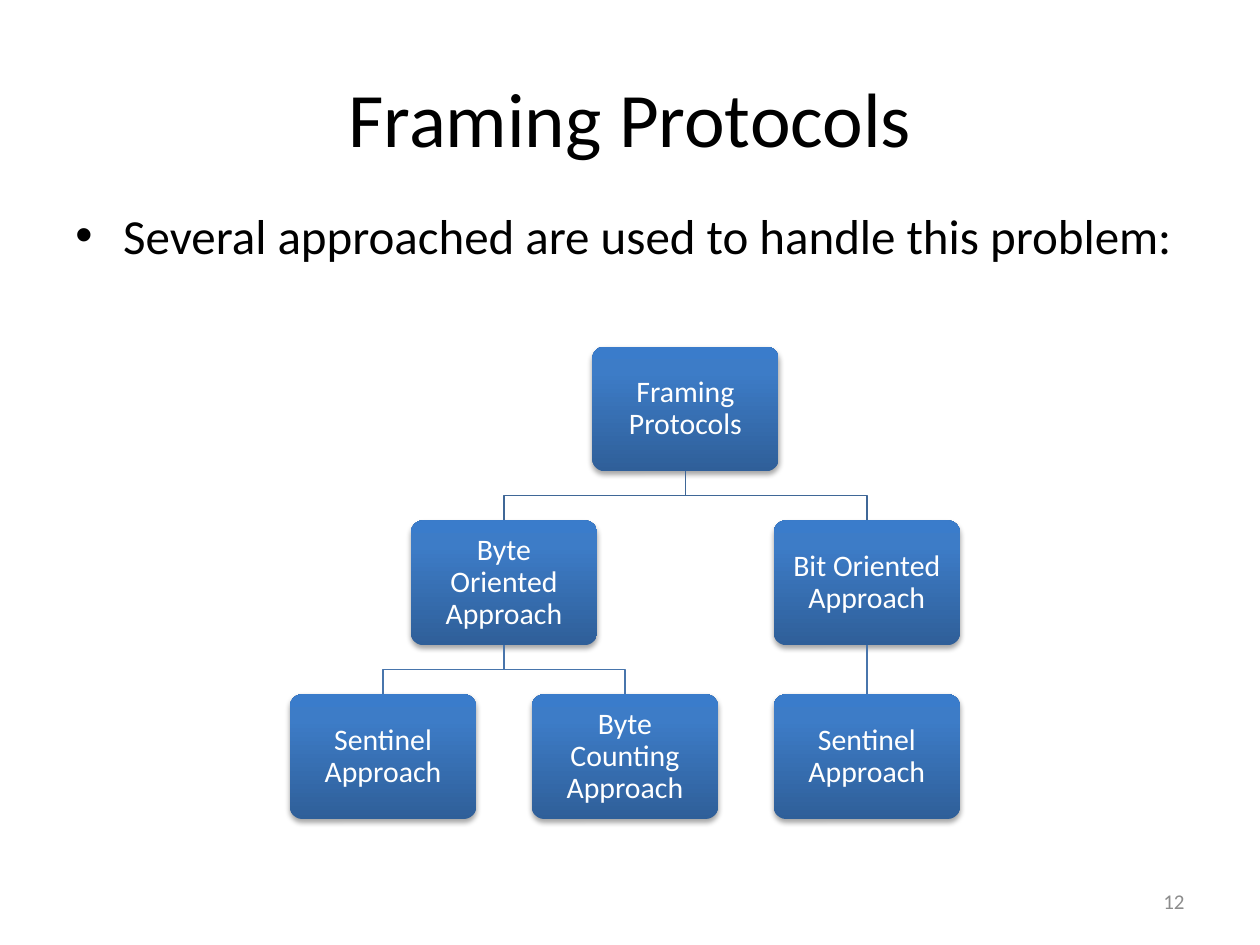
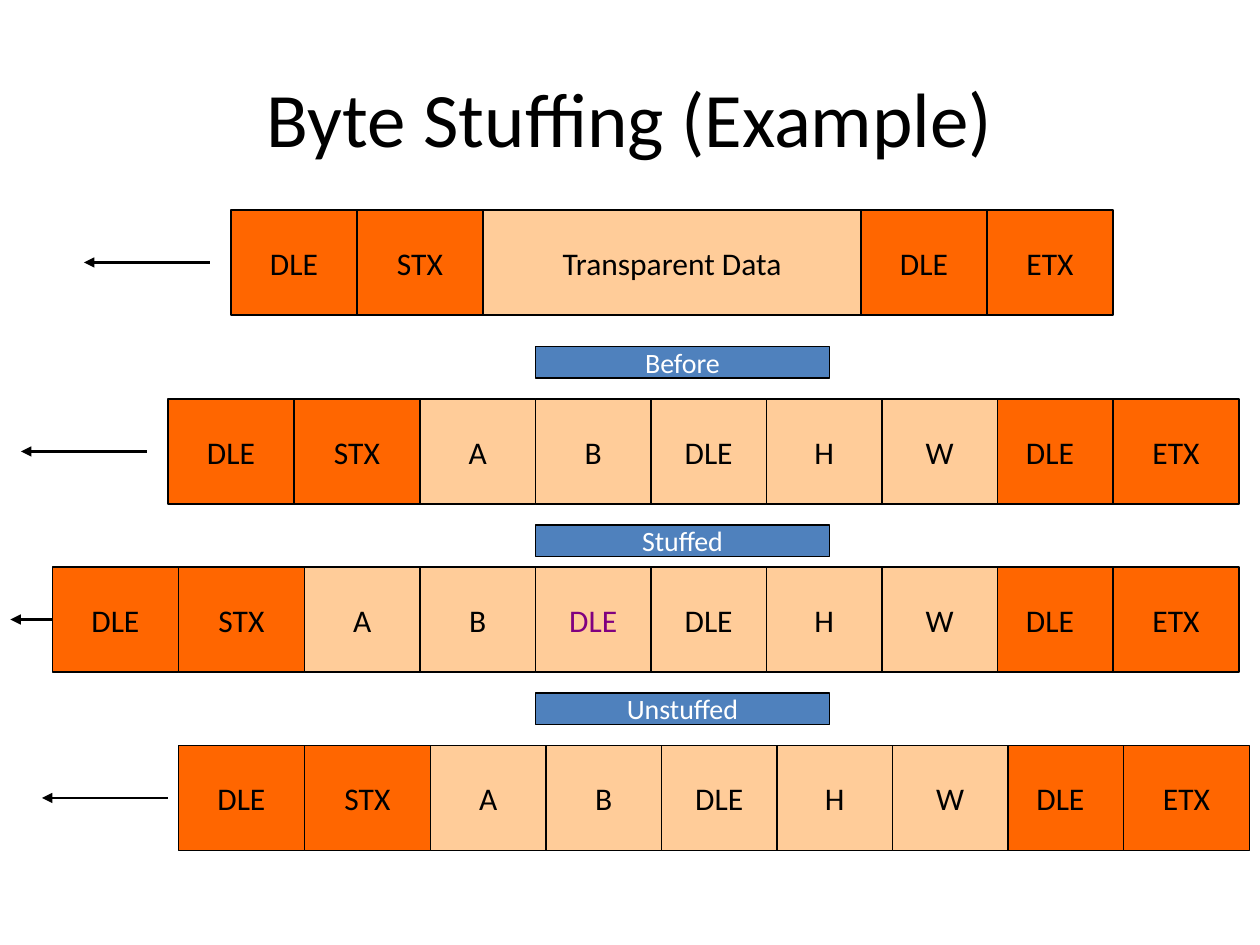
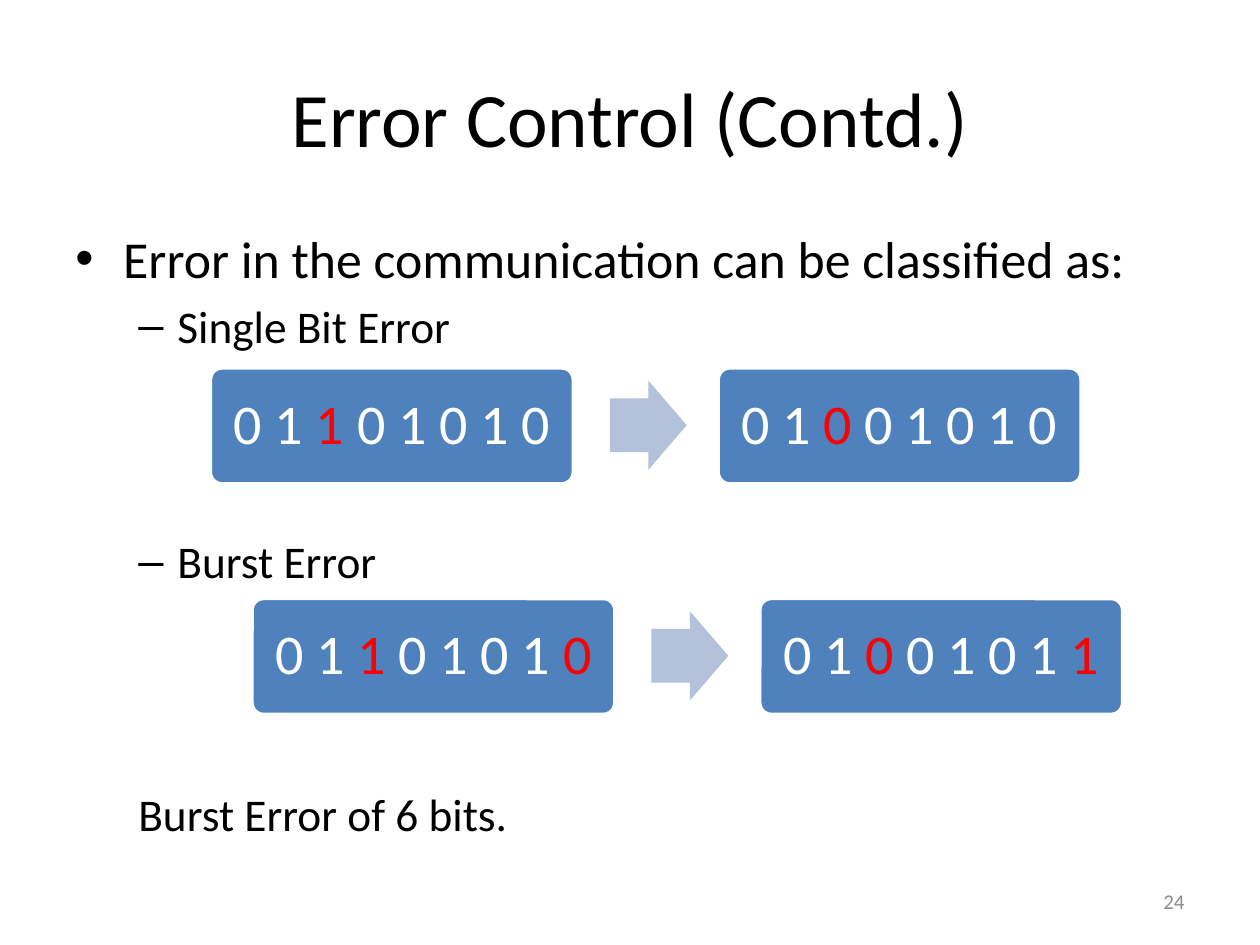
from copy import deepcopy
from itertools import groupby

from lxml import etree
from pptx import Presentation
from pptx.dml.color import RGBColor
from pptx.enum.shapes import MSO_CONNECTOR, MSO_SHAPE
from pptx.enum.text import MSO_ANCHOR, PP_ALIGN
from pptx.oxml.ns import qn
from pptx.util import Inches, Pt

RECTANGLE = MSO_SHAPE.RECTANGLE
ROUNDED = MSO_SHAPE.ROUNDED_RECTANGLE
RIGHT_ARROW = MSO_SHAPE.RIGHT_ARROW
STRAIGHT = MSO_CONNECTOR.STRAIGHT
TOP, MIDDLE = MSO_ANCHOR.TOP, MSO_ANCHOR.MIDDLE
LEFT, CENTER, RIGHT = PP_ALIGN.LEFT, PP_ALIGN.CENTER, PP_ALIGN.RIGHT
JUSTIFY = PP_ALIGN.JUSTIFY
SIDE_TOP, SIDE_LEFT, SIDE_BOTTOM = 0, 1, 2

# Shared style
FONT = "Calibri"
BLACK, WHITE, GRAY, RED, PURPLE = "000000", "FFFFFF", "8C8C8C", "FF0000", "800080"
BLUE, PALE_BLUE = "4F81BD", "B3C1DB"
ORANGE, PEACH = "FF6600", "FFCC99"
UPPER_BRANCH, LOWER_BRANCH = "3F6797", "4875AC"
NODE_GRADIENT = [(0, "2F5F99"), (0.8, "3D7CC7"), (1, "3A7CCB")]
TITLE_BOX = (0.5, 0.3, 9, 1.25)
NUMBER_BOX = (7.17, 6.95, 2.33, 0.4)


def color(value):
    return RGBColor.from_string(value)


def apply(target, values):
    for name, value in values.items():
        setattr(target, name, value)


def inches(values):
    return [Inches(value) for value in values]


def add_xml(parent, tag, **attributes):
    return etree.SubElement(parent, qn(tag), attributes)


class Deck:
    """Holds the shared style and the slide being built."""

    def __init__(self):
        self.presentation = Presentation()
        apply(self.presentation, {"slide_width": Inches(10), "slide_height": Inches(7.5)})
        self.slide = None

    def add_slide(self, title, number=None):
        self.slide = self.presentation.slides.add_slide(self.presentation.slide_layouts[6])
        self.text_box(TITLE_BOX, [dict(runs=[(title, BLACK)], size=44, align=CENTER)], MIDDLE)
        if number:
            self.text_box(NUMBER_BOX, [dict(runs=[(number, GRAY)], size=12, align=RIGHT)], MIDDLE)

    def fill_paragraph(self, paragraph, runs, size, align=LEFT, bullet=None, margin=0, indent=0,
                       **spacing):
        apply(paragraph, {"alignment": align, **spacing})
        for text, run_color in runs:
            run = paragraph.add_run()
            run.text = text
            apply(run.font, {"name": FONT, "size": Pt(size)})
            run.font.color.rgb = color(run_color)
        properties = paragraph._p.get_or_add_pPr()
        properties.set("marL", str(Inches(margin)))
        properties.set("indent", str(Inches(indent)))
        if bullet:
            add_xml(properties, "a:buFont", typeface="Arial")
            add_xml(properties, "a:buChar", char=bullet)

    def text_box(self, box, paragraphs, anchor=TOP):
        frame = self.slide.shapes.add_textbox(*inches(box)).text_frame
        apply(frame, {"word_wrap": True, "vertical_anchor": anchor})
        for index, values in enumerate(paragraphs):
            paragraph = frame.add_paragraph() if index else frame.paragraphs[0]
            self.fill_paragraph(paragraph, **values)

    def box(self, kind, box, fill=None, line=None, width=0.75, adjust=(), runs=(), size=18,
            wrap=False, **spacing):
        shape = self.slide.shapes.add_shape(kind, *inches(box))
        shape.shadow.inherit = False
        for index, value in enumerate(adjust):
            shape.adjustments[index] = value
        if fill:
            shape.fill.solid()
            shape.fill.fore_color.rgb = color(fill)
        self.outline(shape, line, width)
        frame = shape.text_frame
        apply(frame, {"word_wrap": wrap, "vertical_anchor": MIDDLE})
        if runs:
            self.fill_paragraph(frame.paragraphs[0], runs, size, CENTER, **spacing)
        return shape

    def outline(self, shape, line, width):
        if line:
            shape.line.color.rgb = color(line)
            shape.line.width = Pt(width)
        else:
            shape.line.fill.background()

    def node(self, box, label):
        shape = self.box(ROUNDED, box, adjust=[0.1], runs=[(label, WHITE)], size=17,
                         wrap=True, line_spacing=0.9)
        # Three-stop gradient
        shape.fill.gradient()
        shape.fill.gradient_angle = 90
        stop_list = shape._element.spPr.find(".//" + qn("a:gsLst"))
        stop_list.append(deepcopy(stop_list[0]))
        for stop, (position, value) in zip(shape.fill.gradient_stops, NODE_GRADIENT):
            stop.position = position
            stop.color.rgb = color(value)
        # Soft shadow below
        effects = shape._element.spPr.find(qn("a:effectLst"))
        shadow = add_xml(effects, "a:outerShdw", blurRad=str(Pt(3.1)), dist=str(Pt(1.8)),
                         dir="5400000", rotWithShape="0")
        shade = add_xml(shadow, "a:srgbClr", val=BLACK)
        add_xml(shade, "a:alpha", val="35000")
        return shape

    def connector(self, start, end, line, width, arrow=False):
        connector = self.slide.shapes.add_connector(STRAIGHT, *inches(start), *inches(end))
        self.outline(connector, line, width)
        add_xml(connector._element.spPr, "a:effectLst")
        if arrow:
            add_xml(connector._element.spPr.find(qn("a:ln")), "a:tailEnd", type="triangle")
        return connector

    def branch(self, parent, child, line):
        start_x, end_x = (shape.left + shape.width // 2 for shape in (parent, child))
        start_y, end_y = parent.top + parent.height, child.top
        if start_x == end_x:
            connector = self.connector((0, 0), (0, 0), line, 0.75)
            connector.begin_connect(parent, SIDE_BOTTOM)
            connector.end_connect(child, SIDE_TOP)
            return
        middle_y = (start_y + end_y) // 2
        builder = self.slide.shapes.build_freeform(start_x, start_y)
        builder.add_line_segments([(start_x, middle_y), (end_x, middle_y), (end_x, end_y)],
                                  close=False)
        elbow = builder.convert_to_shape()
        elbow.shadow.inherit = False
        elbow.fill.background()
        self.outline(elbow, line, 0.75)


def framing_protocols(deck):
    deck.add_slide("Framing Protocols", "12")
    deck.text_box((0.5, 1.58, 9, 4.95), [
        dict(runs=[("Several approached are used to handle this problem:", BLACK)], size=28,
             align=JUSTIFY, bullet="•", margin=0.38, indent=-0.38, space_before=Pt(5.6))])

    # Tree: name, left, level, label, parent
    tree = [
        ("root", 4.7, 0, "Framing Protocols", None),
        ("byte", 3.26, 1, "Byte Oriented Approach", "root"),
        ("bit", 6.14, 1, "Bit Oriented Approach", "root"),
        ("byte sentinel", 2.3, 2, "Sentinel Approach", "byte"),
        ("byte counting", 4.22, 2, "Byte Counting Approach", "byte"),
        ("bit sentinel", 6.14, 2, "Sentinel Approach", "bit"),
    ]
    nodes = {}
    for name, left, level, label, parent in tree:
        nodes[name] = deck.node((left, 2.75 + 1.38 * level, 1.48, 0.99), label)
        if parent:
            deck.branch(nodes[parent], nodes[name], UPPER_BRANCH if level == 1 else LOWER_BRANCH)


def byte_stuffing(deck):
    deck.add_slide("Byte Stuffing (Example)")

    # The frames lie on a grid of twelfths of an inch
    def grid(*values):
        return [value / 12 for value in values]

    control, byte, height = 12, 11, 10

    def cell(left, top, width, label, fill, text_color=BLACK):
        return deck.box(RECTANGLE, grid(left, top, width, height), fill, BLACK,
                        runs=[(label, text_color)])

    # Frames: left, top, arrow start, arrow end, data, data cell width, overlap of the trailer
    plain = ["A", "B", "DLE", "H", "W"]
    stuffed = ["A", "B", "DLE", "DLE", "H", "W"]
    frames = [
        (22, 20, 20, 8, ["Transparent Data"], 36, 0),
        (16, 38, 14, 2, plain, byte, 1),
        (5, 54, 5, 1, stuffed, byte, 1),
        (17, 71, 16, 4, plain, byte, 1),
    ]
    for left, top, arrow_start, arrow_end, data, width, overlap in frames:
        data_left = left + 2 * control
        trailer = data_left + len(data) * width - overlap
        header = cell(left, top, control, "DLE", ORANGE)
        cell(left + control, top, control, "STX", ORANGE)
        cell(trailer, top, control, "DLE", ORANGE)
        cell(trailer + control, top, control, "ETX", ORANGE)
        for index, label in enumerate(data):
            inserted = data is stuffed and index == 2
            cell(data_left + index * width, top, width, label, PEACH,
                 PURPLE if inserted else BLACK)
        middle = top + height / 2
        arrow = deck.connector(grid(arrow_start, middle), grid(arrow_end, middle), BLACK, 1.5, True)
        if arrow_start == left:
            arrow.begin_connect(header, SIDE_LEFT)

    # Stage labels
    for top, label in [(33, "Before"), (50, "Stuffed"), (66, "Unstuffed")]:
        deck.box(RECTANGLE, grid(51, top, 28, 3), BLUE, BLACK, runs=[(label, WHITE)], size=16)


def bit_runs(bits, changed):
    runs = []
    for is_changed, group in groupby(range(len(bits)), lambda index: index in changed):
        indexes = list(group)
        text = " ".join(bits[index] for index in indexes)
        gap = " " if indexes[-1] < len(bits) - 1 else ""
        runs.append((text + gap, RED if is_changed else WHITE))
    return runs


def error_control(deck):
    deck.add_slide("Error Control (Contd.)", "24")
    item = dict(size=25.9, bullet="–", margin=0.81, indent=-0.31)
    deck.text_box((0.5, 1.75, 9, 4.95), [
        dict(runs=[("Error in the communication can be classified as:", BLACK)], size=29.6,
             bullet="•", margin=0.38, indent=-0.38, space_before=Pt(5.9)),
        dict(item, runs=[("Single Bit Error", BLACK)], space_before=Pt(5.2)),
        dict(item, runs=[("Burst Error", BLACK)], space_before=Pt(103.3)),
        dict(runs=[("Burst Error of 6 bits.", BLACK)], size=25.9, margin=0.5,
             space_before=Pt(113.5))])

    # Sent and received bits: left, top, changed positions, values
    examples = [
        (1.67, 2.92, {2}, ("01101010", "01001010")),
        (2, 4.75, {2, 7}, ("01101010", "01001011")),
    ]
    for left, top, changed, values in examples:
        for index, bits in enumerate(values):
            deck.box(ROUNDED, (left + 4.03 * index, top, 2.88, 0.92), BLUE, WHITE, 2, [0.1],
                     bit_runs(bits, changed), 32, True, line_spacing=0.9)
        deck.box(RIGHT_ARROW, (left + 3.17, top + 0.1, 0.61, 0.71), PALE_BLUE, adjust=[0.6, 0.5])


def main():
    deck = Deck()
    framing_protocols(deck)
    byte_stuffing(deck)
    error_control(deck)
    deck.presentation.save("out.pptx")


if __name__ == "__main__":
    main()
